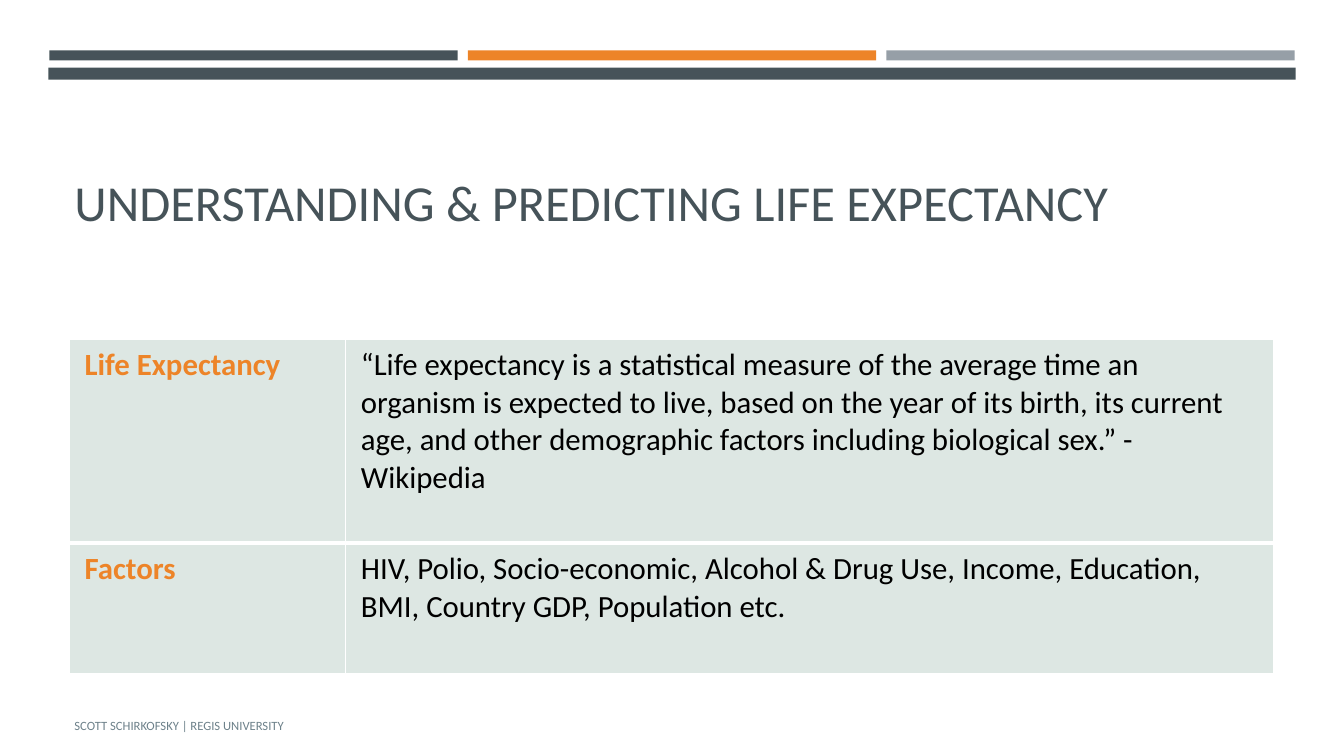
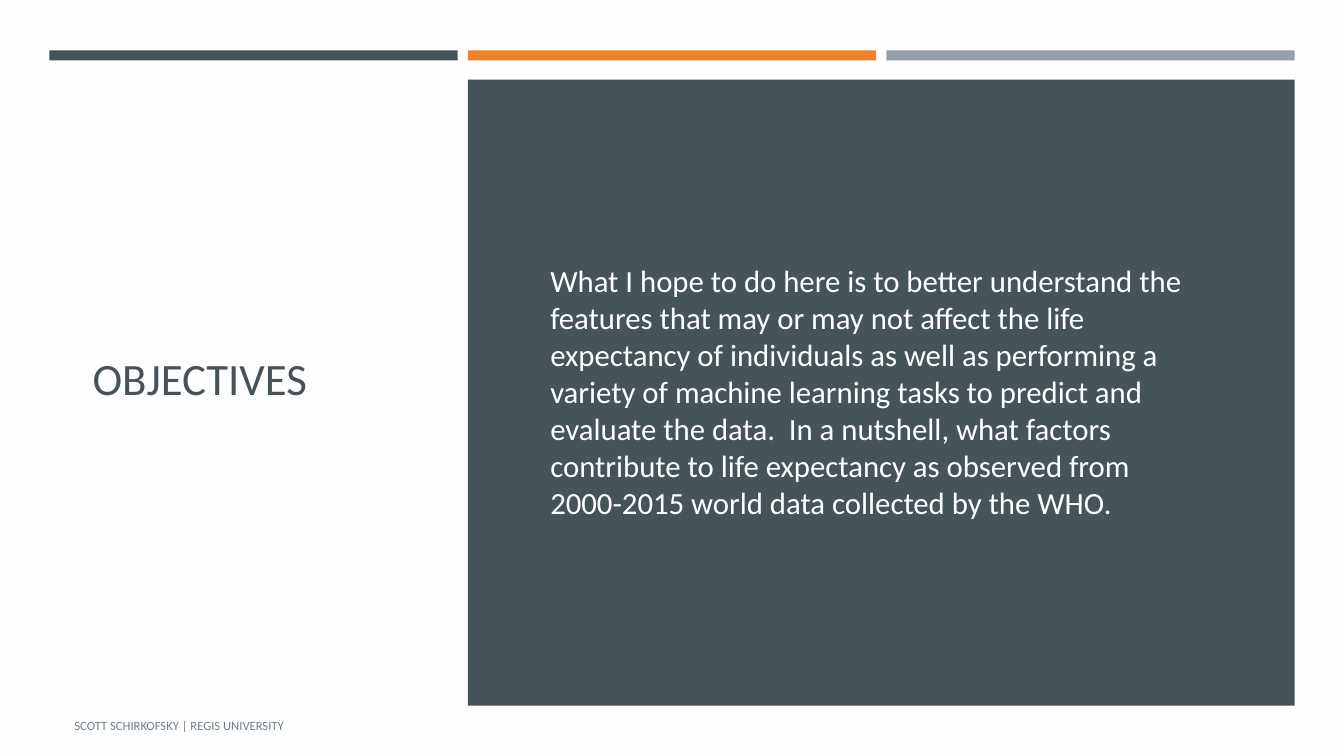
import pptx
import pptx.util
import pptx.dml.color
import pptx.enum.shapes
import pptx.enum.text
import pptx.oxml
import pptx.oxml.ns

Inches = pptx.util.Inches
Pt = pptx.util.Pt
RGBColor = pptx.dml.color.RGBColor
Anchor = pptx.enum.text.MSO_ANCHOR

SLATE = RGBColor(0x46, 0x53, 0x59)
ORANGE = RGBColor(0xED, 0x84, 0x28)
GRAY = RGBColor(0x96, 0x9F, 0xA7)
FOOTER_GRAY = RGBColor(0x6D, 0x81, 0x8A)
PALE_GREEN = RGBColor(0xDD, 0xE7, 0xE3)
WHITE = RGBColor(0xFF, 0xFF, 0xFF)
OFF_WHITE = RGBColor(0xFF, 0xFE, 0xFF)
BLACK = RGBColor(0, 0, 0)
FONT = "Calibri"

BAND_LEFT = 0.49
BAND_WIDTH = 4.05
BAND_STEP = 4.15
BAND_TOP = 0.5
PANEL_TOP = 0.79


def add_block(slide, left, top, width, height, color):
    shape = slide.shapes.add_shape(
        pptx.enum.shapes.MSO_SHAPE.RECTANGLE,
        Inches(left), Inches(top), Inches(width), Inches(height))
    shape.shadow.inherit = False
    shape.fill.solid()
    shape.fill.fore_color.rgb = color
    shape.line.fill.background()


def add_text(slide, left, top, width, height, text, size, color, anchor):
    box = slide.shapes.add_textbox(
        Inches(left), Inches(top), Inches(width), Inches(height))
    frame = box.text_frame
    frame.word_wrap = True
    frame.vertical_anchor = anchor
    frame.text = text
    font = frame.paragraphs[0].runs[0].font
    font.name = FONT
    font.size = Pt(size)
    font.color.rgb = color


presentation = pptx.Presentation()
presentation.slide_width = Inches(13.33)
presentation.slide_height = Inches(7.5)
blank_layout = presentation.slide_layouts[6]

slides = []
for background in (WHITE, OFF_WHITE):
    slide = presentation.slides.add_slide(blank_layout)
    slide.background.fill.solid()
    slide.background.fill.fore_color.rgb = background
    for index, color in enumerate((SLATE, ORANGE, GRAY)):
        add_block(slide, BAND_LEFT + index * BAND_STEP, BAND_TOP,
                  BAND_WIDTH, 0.1, color)
    add_text(slide, 0.64, 7, 7.56, 0.4, "SCOTT SCHIRKOFSKY | REGIS UNIVERSITY",
             9, FOOTER_GRAY, Anchor.MIDDLE)
    slides.append(slide)
definition_slide, objectives_slide = slides

add_block(definition_slide, 0.48, 0.67, 12.37, 0.12, SLATE)
add_text(definition_slide, 0.64, PANEL_TOP, 12.02, 1.56,
         "UNDERSTANDING & PREDICTING LIFE EXPECTANCY", 36, SLATE, Anchor.BOTTOM)

definitions = [
    ("Life Expectancy",
     "“Life expectancy is a statistical measure of the average time an organism "
     "is expected to live, based on the year of its birth, its current age, and "
     "other demographic factors including biological sex.” - Wikipedia"),
    ("Factors",
     "HIV, Polio, Socio-economic, Alcohol & Drug Use, Income, Education, BMI, "
     "Country GDP, Population etc."),
]
table_frame = definition_slide.shapes.add_table(
    2, 2, Inches(0.69), Inches(3.37), Inches(11.94), Inches(3.3))
table = table_frame.table
table.first_row = False
table.horz_banding = False
for column, width in zip(table.columns, (2.74, 9.2)):
    column.width = Inches(width)
for row, height in zip(table.rows, (2.02, 1.29)):
    row.height = Inches(height)

for row_index, texts in enumerate(definitions):
    edges = {"lnL": 1, "lnR": 1, "lnT": 1, "lnB": 1}
    edges["lnB" if row_index == 0 else "lnT"] = 3
    for column_index, text in enumerate(texts):
        cell = table.cell(row_index, column_index)
        cell.margin_left = cell.margin_right = Inches(0.15)
        cell.margin_top = cell.margin_bottom = Inches(0.07)
        cell.text_frame.text = text
        font = cell.text_frame.paragraphs[0].runs[0].font
        font.name = FONT
        font.size = Pt(22)
        font.bold = column_index == 0
        font.color.rgb = ORANGE if column_index == 0 else BLACK
        properties = cell._tc.get_or_add_tcPr()
        for edge, points in edges.items():
            properties.append(pptx.oxml.parse_xml(
                f'<a:{edge} {pptx.oxml.ns.nsdecls("a")} w="{Pt(points)}">'
                f'<a:solidFill><a:srgbClr val="{WHITE}"/></a:solidFill></a:{edge}>'))
        cell.fill.solid()
        cell.fill.fore_color.rgb = PALE_GREEN

add_block(objectives_slide, BAND_LEFT + BAND_STEP, PANEL_TOP,
          BAND_STEP + BAND_WIDTH, 6.21, SLATE)
add_text(objectives_slide, 0.82, 1.17, 3.34, 5.15, "OBJECTIVES",
         32, SLATE, Anchor.MIDDLE)
add_text(objectives_slide, 5.36, 2.55, 6.67, 2.69,
         "What I hope to do here is to better understand the features that may or "
         "may not affect the life expectancy of individuals as well as performing "
         "a variety of machine learning tasks to predict and evaluate the data.  "
         "In a nutshell, what factors contribute to life expectancy as observed "
         "from 2000-2015 world data collected by the WHO.",
         22, WHITE, Anchor.TOP)

presentation.save("out.pptx")
